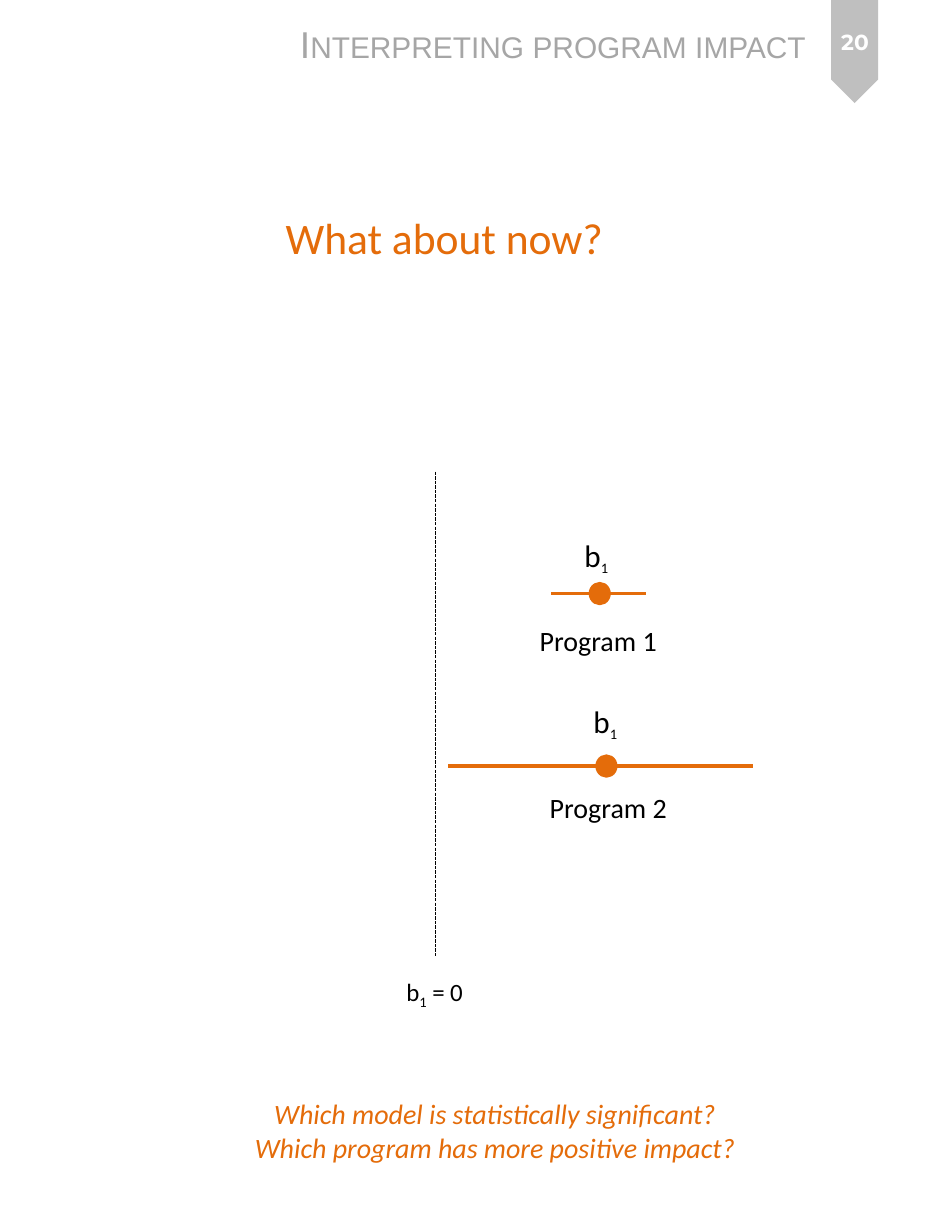
from lxml import etree
from pptx import Presentation
from pptx.dml.color import RGBColor
from pptx.enum.dml import MSO_LINE
from pptx.enum.shapes import MSO_CONNECTOR, MSO_SHAPE
from pptx.enum.text import MSO_ANCHOR, MSO_AUTO_SIZE, PP_ALIGN
from pptx.oxml.ns import qn
from pptx.util import Inches, Pt

LEFT, CENTER = PP_ALIGN.LEFT, PP_ALIGN.CENTER
TOP, MIDDLE = MSO_ANCHOR.TOP, MSO_ANCHOR.MIDDLE
FIT, STRAIGHT = MSO_AUTO_SIZE.SHAPE_TO_FIT_TEXT, MSO_CONNECTOR.STRAIGHT
DASH = MSO_LINE.SQUARE_DOT
HUE = {"accent": "E46C0A", "ink": "000000", "head": "A6A6A6",
       "tag": "BFBFBF", "page": "FFFFFF"}


def color(name):
    return RGBColor.from_string(HUE[name])


def write(text, at, size=18, hue="ink", font="Calibri", align=LEFT,
          anchor=TOP, wrap=False, bold=False, italic=False, caps=False,
          sub=None, box=None):
    """Fill a box with lines of text; "_" marks the next sign as a subscript."""
    box = box or slide.shapes.add_textbox(0, 0, 0, 0)
    box.left, box.top, box.width, box.height = map(Inches, at)
    frame = box.text_frame
    frame.word_wrap, frame.auto_size, frame.vertical_anchor = wrap, FIT, anchor
    for i, line in enumerate(text.split("\n")):
        para = frame.add_paragraph() if i else frame.paragraphs[0]
        para.alignment = align
        base, _, rest = line.partition("_")
        for part, low in ((base, False), (rest[:1], True), (rest[1:], False)):
            if not part:
                continue
            run = para.add_run()
            run.text = part
            run.font.name = font
            run.font.size = Pt(sub if low and sub else size)
            run.font.bold, run.font.italic = bold, italic
            run.font.color.rgb = color(hue)
            props = run.font._element
            if low:
                props.set("baseline", "-25000")
            if caps:
                props.set("cap", "small")


prs = Presentation()
prs.slide_width, prs.slide_height = Inches(8.5), Inches(11)
slide = prs.slides.add_slide(prs.slide_layouts[5])
shapes = slide.shapes

# Header and page tag
tag = shapes.add_shape(MSO_SHAPE.PENTAGON, Inches(7.17), Inches(0.25),
                       Inches(0.92), Inches(0.42))
tag.rotation = 90
tag.shadow.inherit = False
tag.fill.solid()
tag.fill.fore_color.rgb = color("tag")
tag.line.fill.background()
write("Interpreting program impact", (2.58, 0.14, 4.96, 0.5), size=24,
      hue="head", font="Arial", caps=True)
write("20", (7.26, 0.08, 0.75, 0.59), size=14, hue="page", font="Montserrat",
      align=CENTER, anchor=MIDDLE, wrap=True, bold=True)

# Title
write("What about now?", (2.45, 1.83, 3.93, 0.57), size=28, hue="accent",
      wrap=True, box=shapes.title)

# Zero line, then one interval per program
lines = [(3.89, 4.21, 3.89, 8.54, "ink", 0.75),
         (4.92, 5.3, 5.77, 5.3, "accent", 2),
         (4, 6.84, 6.72, 6.84, "accent", 2)]
for x1, y1, x2, y2, hue, width in lines:
    rule = shapes.add_connector(STRAIGHT, Inches(x1), Inches(y1),
                                Inches(x2), Inches(y2))
    rule.line.color.rgb = color(hue)
    rule.line.width = Pt(width)
    if hue == "ink":
        rule.line.dash_style = DASH
    etree.SubElement(rule._element.spPr, qn("a:effectLst"))
write("b_1 = 0", (3.53, 8.67, 0.72, 0.37), size=16)

# Estimates and labels
programs = [("Program 1", 5.27, 5.21, 5.12, 4.74, 4.72, 5.52),
            ("Program 2", 5.33, 6.75, 5.2, 6.22, 4.81, 7.01)]
for name, dot_x, dot_y, b_x, b_y, name_x, name_y in programs:
    dot = shapes.add_shape(MSO_SHAPE.OVAL, Inches(dot_x), Inches(dot_y),
                           Inches(0.17), Inches(0.18))
    dot.shadow.inherit = False
    dot.fill.solid()
    dot.fill.fore_color.rgb = dot.line.color.rgb = color("accent")
    dot.line.width = Pt(2)
    write("b_1", (b_x, b_y, 0.42, 0.44), size=20, sub=16)
    write(name, (name_x, name_y, 1.26, 0.4))

# Questions
write("Which model is statistically significant?\n"
      "Which program has more positive impact?",
      (2.15, 9.74, 4.54, 0.71), hue="accent", align=CENTER, italic=True)

prs.save("out.pptx")
